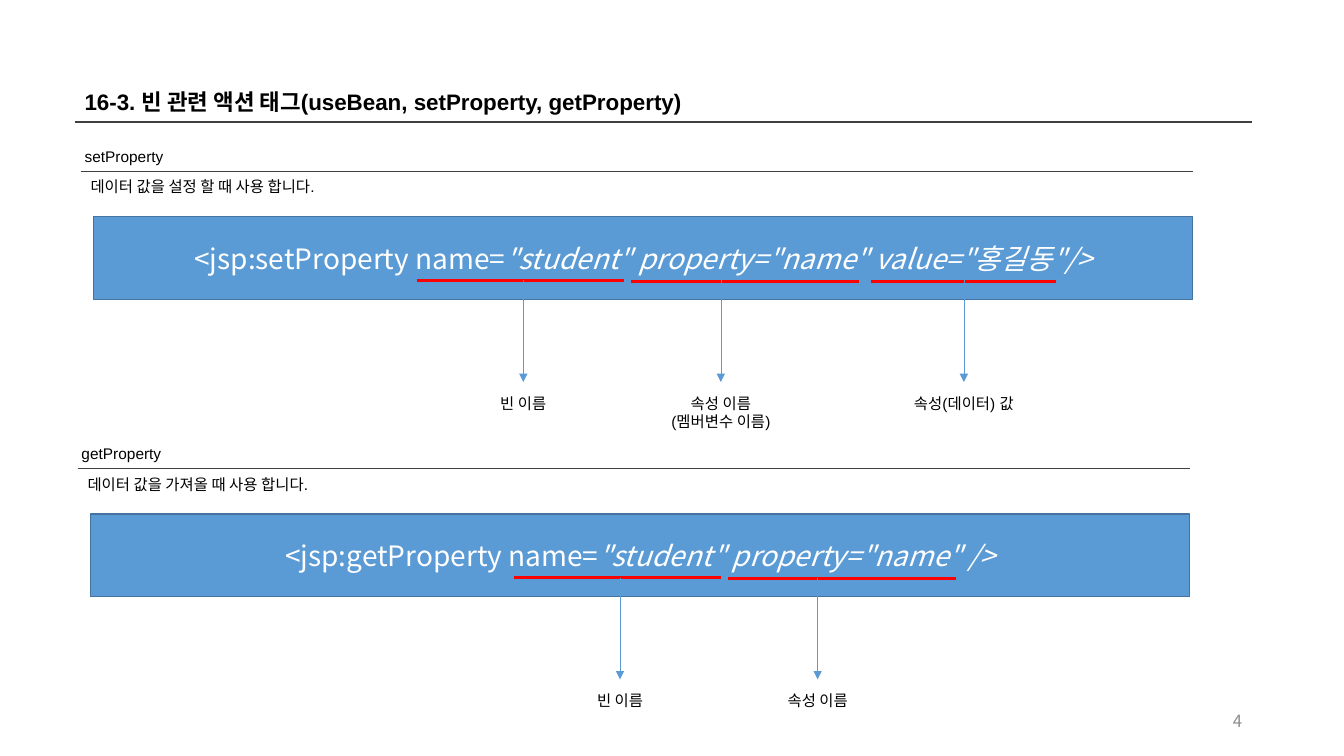
from dataclasses import dataclass
from lxml import etree
from pptx import Presentation
from pptx.dml.color import RGBColor
from pptx.enum.shapes import MSO_CONNECTOR, MSO_SHAPE
from pptx.enum.text import MSO_ANCHOR, MSO_AUTO_SIZE, PP_ALIGN
from pptx.oxml.ns import qn
from pptx.util import Inches, Pt

STRAIGHT, RECTANGLE = MSO_CONNECTOR.STRAIGHT, MSO_SHAPE.RECTANGLE
MIDDLE, GROW = MSO_ANCHOR.MIDDLE, MSO_AUTO_SIZE.SHAPE_TO_FIT_TEXT
LEFT, CENTER, RIGHT = PP_ALIGN.LEFT, PP_ALIGN.CENTER, PP_ALIGN.RIGHT


@dataclass(frozen=True)
class Theme:
    latin: str = "Arial"
    korean: str = "Noto Sans CJK KR"
    ink: str = "000000"
    rule: str = "404040"
    muted: str = "8C8C8C"
    bar: str = "5B9BD5"
    bar_edge: str = "43739E"
    code: str = "FFFFFF"
    mark: str = "FF0000"
    title_size: int = 16
    body_size: int = 11
    code_size: int = 20
    number_size: int = 12


THEME = Theme()
TITLE = "16-3. 빈 관련 액션 태그(useBean, setProperty, getProperty)"
PAGE_NUMBER = "4"

# content-free layout values follow the section texts
SECTIONS = [
    {
        "origin": (0.8, 1.41),
        "heading": "setProperty",
        "summary": "데이터 값을 설정 할 때 사용 합니다.",
        "code": ("<jsp:setProperty name=", '"student" property="name" value="홍길동"/>'),
        "first_mark": 4.14,
        "labels": [("빈 이름", 1.01), ("속성 이름\n(멤버변수 이름)", 1.36), ("속성(데이터) 값", 1.52)],
    },
    {
        "origin": (0.77, 4.36),
        "heading": "getProperty",
        "summary": "데이터 값을 가져올 때 사용 합니다.",
        "code": ("<jsp:getProperty name=", '"student" property="name" />'),
        "first_mark": 5.1,
        "labels": [("빈 이름", 1.01), ("속성 이름", 1.21)],
    },
]
MARKS = [(0, 2.05, 1.05, 0), (2.12, 2.26, 3.01, 0.01), (4.5, 1.83, 5.42, 0.01)]

MARGIN, FULL_WIDTH, SECTION_WIDTH = 0.74, 11.68, 11.03
LINE_HEIGHT, SECOND_LINE = 0.29, 0.18
TITLE_TOP, TITLE_HEIGHT = 0.83, 0.38
BAR_INDENT, BAR_TOP, BAR_HEIGHT = 0.13, 0.74, 0.82
MARK_TOP, ARROW_END, LABEL_TOP = 1.37, 2.38, 2.45


def color(value):
    return RGBColor.from_string(value)


def style(para, size, ink, latin, align=LEFT, bold=False):
    para.alignment = align
    for span in para.runs:
        span.font.size = Pt(size)
        span.font.name = latin
        span.font.bold = bold
        span.font.color.rgb = color(ink)
        east_asian = etree.SubElement(span.font._element, qn("a:ea"))
        east_asian.set("typeface", THEME.korean)


def add_text(page, area, text, size=THEME.body_size, ink=THEME.ink,
             latin=THEME.latin, align=LEFT, bold=False):
    box = page.shapes.add_textbox(*map(Inches, area))
    frame = box.text_frame
    frame.word_wrap = True
    frame.auto_size = GROW
    frame.text = text
    for para in frame.paragraphs:
        style(para, size, ink, latin, align, bold)
    return box


def add_line(page, start, end, ink, width, arrow=False):
    line = page.shapes.add_connector(STRAIGHT, *map(Inches, (*start, *end)))
    line.line.color.rgb = color(ink)
    line.line.width = Pt(width)
    if arrow:
        etree.SubElement(line.line._get_or_add_ln(), qn("a:tailEnd")).set("type", "triangle")
    etree.SubElement(line._element.spPr, qn("a:effectLst"))


def add_bar(page, area, code):
    bar = page.shapes.add_shape(RECTANGLE, *map(Inches, area))
    bar.shadow.inherit = False
    bar.fill.solid()
    bar.fill.fore_color.rgb = color(THEME.bar)
    bar.line.color.rgb = color(THEME.bar_edge)
    bar.line.width = Pt(1)
    bar.text_frame.vertical_anchor = MIDDLE
    para = bar.text_frame.paragraphs[0]
    for part in code:
        para.add_run().text = part
    style(para, THEME.code_size, THEME.code, THEME.korean, CENTER)
    para.runs[1].font.italic = True


def add_section(page, section):
    left, top = section["origin"]
    rule_top = top + LINE_HEIGHT
    add_text(page, (left - 0.06, top, FULL_WIDTH, LINE_HEIGHT), section["heading"])
    add_line(page, (left, rule_top), (left + SECTION_WIDTH, rule_top), THEME.rule, 1)
    add_text(page, (left, rule_top + 0.01, SECTION_WIDTH, LINE_HEIGHT), section["summary"])
    add_bar(page, (left + BAR_INDENT, top + BAR_TOP, SECTION_WIDTH - BAR_INDENT, BAR_HEIGHT),
            section["code"])
    for (label, width), (offset, length, arrow, drop) in zip(section["labels"], MARKS):
        start = section["first_mark"] + offset
        center = section["first_mark"] + arrow
        mark_top = top + MARK_TOP
        add_line(page, (start, mark_top + drop), (start + length, mark_top + drop), THEME.mark, 2)
        add_line(page, (center, mark_top), (center, top + ARROW_END), THEME.bar, 0.5, True)
        height = LINE_HEIGHT + SECOND_LINE * label.count("\n")
        add_text(page, (center - width / 2, top + LABEL_TOP, width, height), label, align=CENTER)


def main():
    deck = Presentation()
    deck.slide_width, deck.slide_height = Inches(13.33), Inches(7.5)
    page = deck.slides.add_slide(deck.slide_layouts[6])
    title_rule = TITLE_TOP + TITLE_HEIGHT
    add_text(page, (MARGIN, TITLE_TOP, FULL_WIDTH, TITLE_HEIGHT), TITLE,
             THEME.title_size, bold=True)
    add_line(page, (MARGIN, title_rule), (MARGIN + FULL_WIDTH, title_rule), THEME.rule, 1)
    for section in SECTIONS:
        add_section(page, section)
    number = add_text(page, (9.42, 6.95, 3, 0.4), PAGE_NUMBER, THEME.number_size,
                      THEME.muted, THEME.korean, RIGHT)
    number.text_frame.auto_size = MSO_AUTO_SIZE.NONE
    number.text_frame.vertical_anchor = MIDDLE
    deck.save("out.pptx")


if __name__ == "__main__":
    main()
